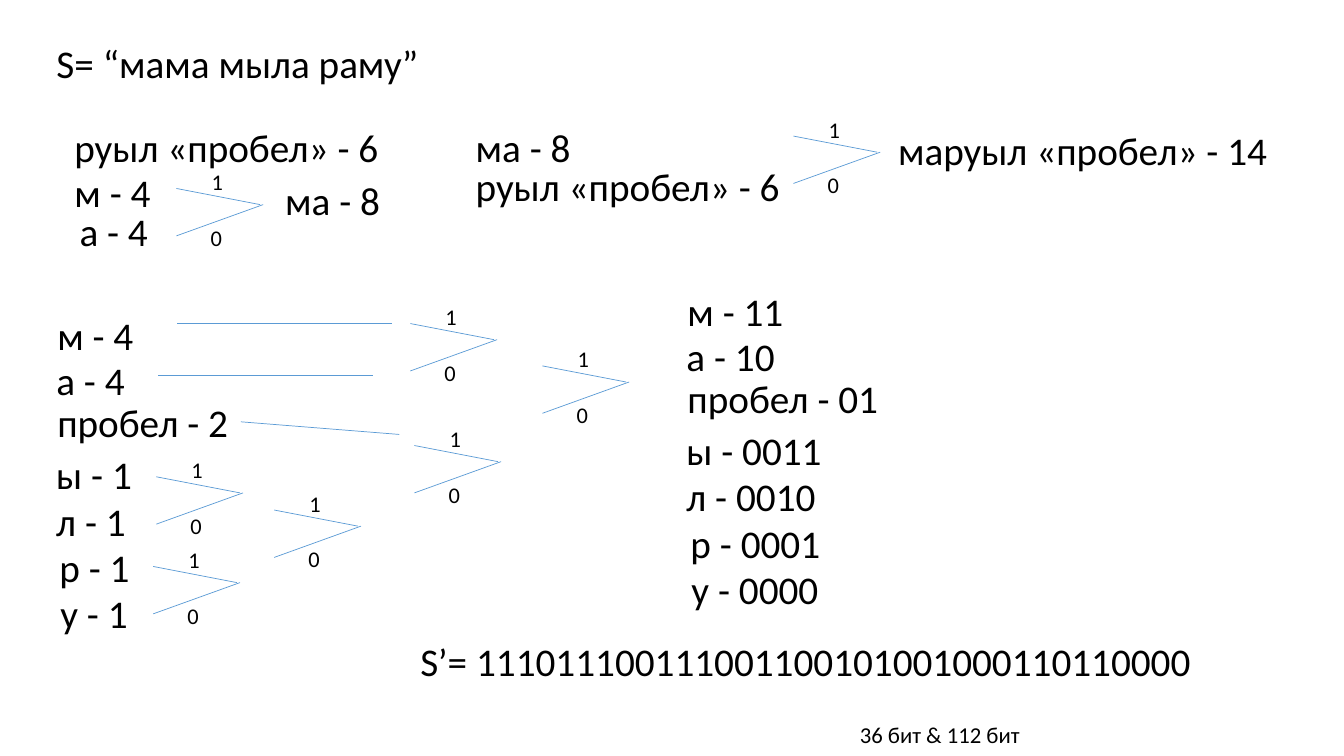
import pptx
import pptx.dml.color
import pptx.enum.shapes
import pptx.enum.text
import pptx.oxml.ns
import pptx.util
from lxml import etree

PX = 9144  # 100 px to the inch
BLACK = pptx.dml.color.RGBColor(0x00, 0x00, 0x00)
BLUE = pptx.dml.color.RGBColor(0x5B, 0x9B, 0xD5)
LARGE = {"name": "Calibri", "size": pptx.util.Pt(28), "bold": False}
SMALL = {**LARGE, "size": pptx.util.Pt(16)}
FRAME = {
    "word_wrap": False,
    "auto_size": pptx.enum.text.MSO_AUTO_SIZE.SHAPE_TO_FIT_TEXT,
    "vertical_anchor": pptx.enum.text.MSO_ANCHOR.TOP,
}
ROW = 57  # height of a line of large text


def scale(*sizes):
    return [pptx.util.Emu(size * PX) for size in sizes]


def write(shape, text, style=LARGE):
    frame = shape.text_frame
    for key, value in FRAME.items():
        setattr(frame, key, value)
    para = frame.paragraphs[0]
    para.alignment = pptx.enum.text.PP_ALIGN.LEFT
    para.line_spacing = 1.0
    run = para.add_run()
    run.text = text
    for key, value in style.items():
        setattr(run.font, key, value)
    run.font.color.rgb = BLACK
    return run


def label(slide, text, x, y, w, h=ROW, style=LARGE):
    shape = slide.shapes.add_textbox(*scale(x, y, w, h))
    write(shape, text, style)
    return shape


def line(slide, x1, y1, x2, y2):
    link = slide.shapes.add_connector(
        pptx.enum.shapes.MSO_CONNECTOR.STRAIGHT, *scale(x1, y1, x2, y2))
    link.line.color.rgb = BLUE
    link.line.width = pptx.util.Pt(0.5)
    etree.SubElement(link._element.spPr, pptx.oxml.ns.qn("a:effectLst"))
    return link


def fork(slide, x, y):
    """Two branches that meet on the right, marked 1 and 0."""
    line(slide, x, y, x + 83, y + 16)
    line(slide, x, y + 47, x + 86, y + 16)
    label(slide, "1", x + 25, y - 25, 32, 37, SMALL)
    label(slide, "0", x + 24, y + 30, 32, 37, SMALL)


def title(slide, x, y, w, h):
    head = slide.shapes.title
    head.left, head.top, head.width, head.height = scale(x, y, w, h)
    write(head, "S= “мама мыла раму”")


def merge(slide, x, y, parts, joint):
    """One merging step: weighted letters and the fork between them."""
    for text, dx, dy, w in parts:
        label(slide, text, x + dx, y + dy, w)
    fork(slide, x + joint[0], y + joint[1])


def tree(slide, x, y):
    # Letters with their counts
    rows = [
        ("м - 4", 1, 0, 97), ("а - 4", 0, 45, 89), ("пробел - 2", 1, 86, 192),
        ("ы - 1", 0, 138, 96), ("л - 1", 0, 184, 90),
        ("р - 1", 3, 230, 91), ("у - 1", 4, 276, 88),
    ]
    boxes = {text: label(slide, text, x + dx, y + dy, w)
             for text, dx, dy, w in rows}
    # Forks, from the leaves to the root
    for dx, dy in [(106, 258), (109, 169), (226, 202),
                   (365, 138), (361, 17), (492, 59)]:
        fork(slide, x + dx, y + dy)
    # Long branches of the frequent letters
    for dx, dy in [(130, 17), (111, 68)]:
        line(slide, x + dx, y + dy, x + dx + 213, y + dy)
    link = line(slide, x + 193, y + 114, x + 350, y + 127)
    link.begin_connect(boxes["пробел - 2"], 3)


def codes(slide, x, y):
    rows = [
        ("м - 11", 1, 0, 117), ("а - 10", 0, 45, 109),
        ("пробел - 01", 1, 86, 212), ("ы - 0011", 0, 138, 156),
        ("л - 0010", 0, 184, 150), ("р - 0001", 4, 230, 151),
        ("у - 0000", 5, 276, 148),
    ]
    for text, dx, dy, w in rows:
        label(slide, text, x + dx, y + dy, w)


def result(slide, x, y):
    label(slide, "S’= 111011100111001100101001000110110000", x, y, 796)
    note = label(slide, "36 бит & 112 бит", x + 436, y + 57, 205, 42)
    run = note.text_frame.paragraphs[0].runs[0]
    run._r.get_or_add_rPr().set("baseline", "-25000")


def main():
    deck = pptx.Presentation()
    deck.slide_width, deck.slide_height = scale(1333, 750)
    slide = deck.slides.add_slide(deck.slide_layouts[5])
    title(slide, 46, 34, 390, ROW)
    merge(slide, 64, 117, [
        ("руыл «пробел» - 6", 0, 0, 325), ("м - 4", 0, 45, 97),
        ("а - 4", 5, 84, 89), ("ма - 8", 209, 53, 115),
    ], (111, 70))
    merge(slide, 462, 117, [
        ("ма - 8", 0, 0, 115), ("руыл «пробел» - 6", 0, 39, 325),
        ("маруыл «пробел» - 14", 419, 3, 390),
    ], (325, 18))
    tree(slide, 46, 304)
    codes(slide, 671, 280)
    result(slide, 407, 627)
    deck.save("out.pptx")


if __name__ == "__main__":
    main()
